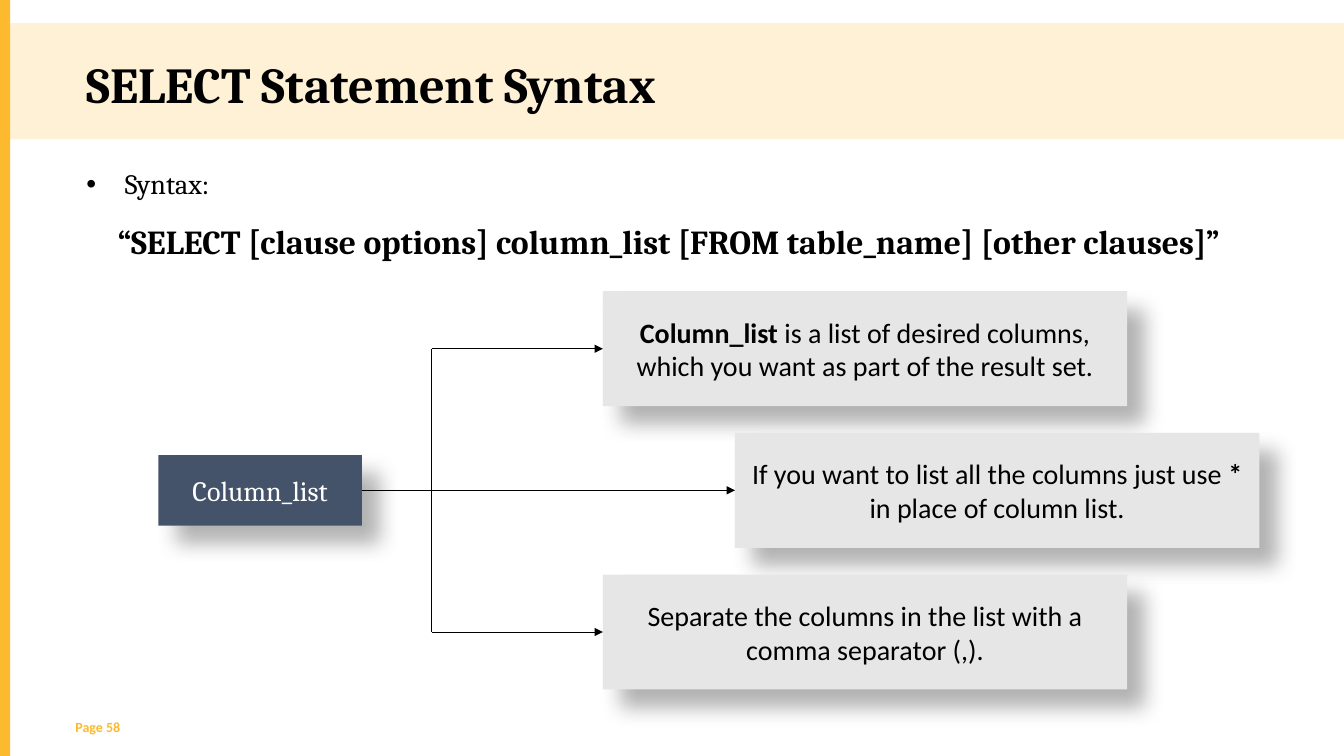
"""Build the slide that explains the SELECT statement syntax."""
from dataclasses import dataclass

from lxml.etree import SubElement as Sub
from pptx import Presentation
from pptx.dml.color import RGBColor as RGB
from pptx.enum.shapes import MSO_CONNECTOR as CONN, MSO_SHAPE as SHAPE
from pptx.enum.text import MSO_ANCHOR as ANCHOR, PP_ALIGN as ALIGN
from pptx.oxml.ns import qn
from pptx.util import Inches, Pt


@dataclass(frozen=True)
class Theme:
    """Colours, fonts and type sizes of the slide."""
    accent: str = "FDBA2F"
    ink: str = "000000"
    paper: str = "FFFFFF"
    card: str = "E7E6E6"
    root: str = "445369"
    serif: str = "Cambria"
    sans: str = "Calibri"
    title: int = 36
    syntax: int = 24
    text: int = 20
    footer: int = 10


@dataclass(frozen=True)
class Box:
    """A rectangle in inches whose inner areas are given in percent."""
    x: float
    y: float
    w: float
    h: float

    def area(self, x, y, w, h):
        """Return the box at the given percent shares of this one."""
        return Box(self.x + self.w * x / 100, self.y + self.h * y / 100,
                   self.w * w / 100, self.h * h / 100)

    def emu(self):
        """Return left, top, width and height as lengths."""
        return [Inches(v) for v in (self.x, self.y, self.w, self.h)]


T = Theme()
PAGE = Box(0, 0, 13.33, 7.5)
CARD_W, CARD_H = 47.62, 28.86
CARDS = [
    (40.38, [("Column_list", True),
             (" is a list of desired columns, which you want as part of the result set.", False)]),
    (100 - CARD_W, [("If you want to list all the columns just use ", False), ("*", True),
                    (" in place of column list.", False)]),
    (40.38, [("Separate the columns in the list with a comma separator (,).", False)]),
]


def add_runs(p, runs, size, font, color):
    """Add (text, bold) runs to a paragraph."""
    for text, bold in runs:
        r = p.add_run()
        r.text = text
        f = r.font
        f.size, f.name, f.bold = Pt(size), font, bold
        f.color.rgb = RGB.from_string(color)


def add_text(s, box):
    """Add a wrapping text box and return its frame."""
    tf = s.shapes.add_textbox(*box.emu()).text_frame
    tf.word_wrap = True
    return tf


def add_rect(s, box, color):
    """Add a plain filled rectangle."""
    sp = s.shapes.add_shape(SHAPE.RECTANGLE, *box.emu())
    sp.shadow.inherit = False
    sp.fill.solid()
    sp.fill.fore_color.rgb = RGB.from_string(color)
    sp.line.fill.background()
    return sp


def set_alpha(color, percent):
    """Give a colour element its opacity."""
    Sub(color, qn("a:alpha"), val=str(percent * 1000))


def add_label(s, box, fill, runs, font, color):
    """Add a shadowed rectangle with centred text."""
    sp = add_rect(s, box, fill)
    effects = sp._element.spPr.find(qn("a:effectLst"))
    shadow = Sub(effects, qn("a:outerShdw"), blurRad=str(Pt(15)), dist=str(Pt(18)),
                 dir=str(45 * 60000), algn="tl", rotWithShape="0")
    set_alpha(Sub(shadow, qn("a:srgbClr"), val=T.ink), 30)
    tf = sp.text_frame
    tf.word_wrap, tf.vertical_anchor = True, ANCHOR.MIDDLE
    p = tf.paragraphs[0]
    p.alignment = ALIGN.CENTER
    add_runs(p, runs, T.text, font, color)


def add_line(s, start, end, arrow=False):
    """Add a thin straight line, with an arrowhead if asked."""
    c = s.shapes.add_connector(CONN.STRAIGHT, *[Inches(v) for v in (*start, *end)])
    c.line.color.rgb = RGB.from_string(T.ink)
    c.line.width = Pt(0.5)
    sp_pr = c._element.spPr
    if arrow:
        Sub(sp_pr.find(qn("a:ln")), qn("a:tailEnd"), type="triangle")
    Sub(sp_pr, qn("a:effectLst"))


def header(s, box):
    """Draw the tinted band and its title."""
    band = add_rect(s, box, T.accent)
    set_alpha(band._element.spPr.find(qn("a:solidFill"))[0], 20)
    tf = add_text(s, box.area(5.7, 21.74, 61.37, 61.74))
    add_runs(tf.paragraphs[0], [("SELECT Statement Syntax", True)], T.title, T.serif, T.ink)


def syntax(s, box):
    """Write the bullet and the syntax line."""
    tf = add_text(s, box)
    lines = [("Syntax:", False, T.text, 0.38, -0.38),
             ("“SELECT [clause options] column_list [FROM table_name] [other clauses]”",
              True, T.syntax, 0.31, 0)]
    for i, (text, bold, size, margin, indent) in enumerate(lines):
        p = tf.add_paragraph() if i else tf.paragraphs[0]
        p.line_spacing = 1.5
        pr = p._p.get_or_add_pPr()
        pr.set("marL", str(Inches(margin)))
        pr.set("indent", str(Inches(indent)))
        if indent:
            Sub(pr, qn("a:buFont"), typeface="Arial")
            Sub(pr, qn("a:buChar"), char="•")
        add_runs(p, [(text, bold)], size, T.serif, T.ink)


def diagram(s, box):
    """Draw the root label branching to the explanation cards."""
    step = (100 - CARD_H) / (len(CARDS) - 1)
    trunk = box.area(24.82, 0, 0, 100).x
    cards = [box.area(x, i * step, CARD_W, CARD_H) for i, (x, _) in enumerate(CARDS)]
    levels = [card.y + card.h / 2 for card in cards]
    for card, (_, runs) in zip(cards, CARDS):
        add_label(s, card, T.card, runs, T.sans, T.ink)
    root = box.area(0, 41.14, 18.5, 17.72)
    add_label(s, root, T.root, [("Column_list", False)], T.serif, T.paper)
    add_line(s, (trunk, levels[0]), (trunk, levels[-1]))
    for card, y in zip(cards, levels):
        add_line(s, (trunk, y), (card.x, y), arrow=True)
    middle = root.y + root.h / 2
    add_line(s, (root.x + root.w, middle), (trunk, middle))


def footer(s, box):
    """Write the page number."""
    p = add_text(s, box).paragraphs[0]
    p.space_after = Pt(6)
    add_runs(p, [("Page 58", True)], T.footer, T.sans, T.accent)


def main():
    """Build and save the slide."""
    prs = Presentation()
    prs.slide_width, prs.slide_height = Inches(PAGE.w), Inches(PAGE.h)
    s = prs.slides.add_slide(prs.slide_layouts[6])
    header(s, PAGE.area(0, 3.07, 100, 15.33))
    add_rect(s, PAGE.area(0, 0, 0.75, 100), T.accent)
    footer(s, PAGE.area(4.88, 94.4, 5.93, 1.73))
    syntax(s, PAGE.area(5.7, 19.2, 87.92, 15.2))
    diagram(s, PAGE.area(11.78, 38.53, 81.92, 52.67))
    prs.save("out.pptx")


if __name__ == "__main__":
    main()
